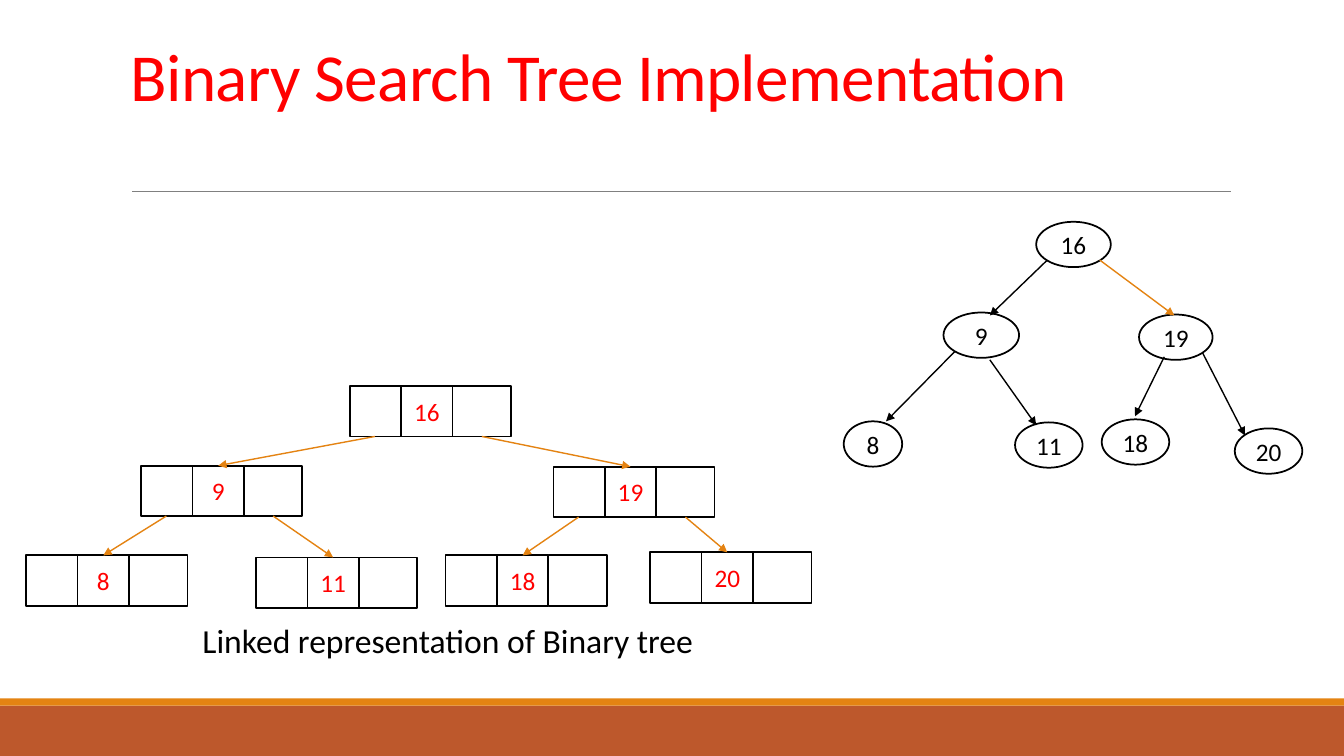
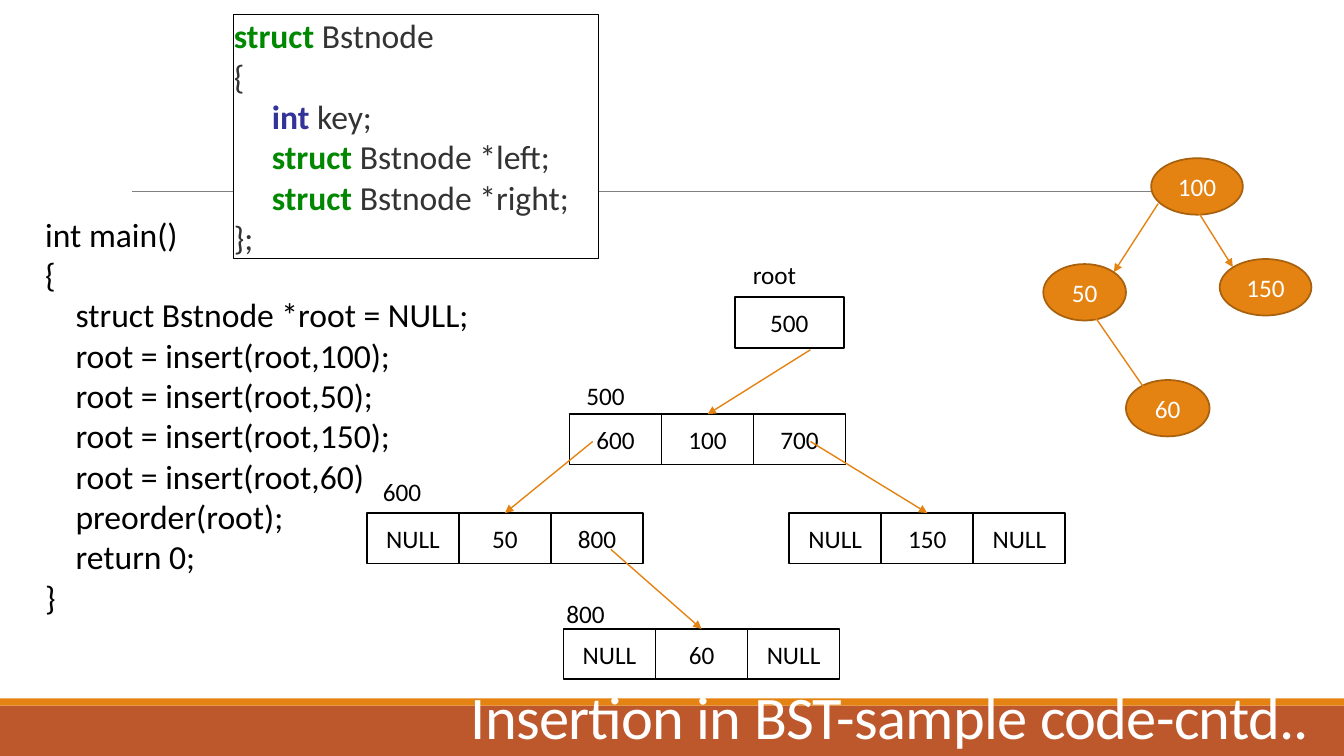
from lxml import etree
from pptx import Presentation
from pptx import util as u
from pptx.dml.color import RGBColor
from pptx.enum import shapes, text
from pptx.oxml import ns

BLACK = RGBColor(0x00, 0x00, 0x00)
WHITE = RGBColor(0xFF, 0xFF, 0xFF)
RED = RGBColor(0xFF, 0x00, 0x00)
RUST = RGBColor(0xBD, 0x58, 0x2C)
ORANGE = RGBColor(0xE4, 0x83, 0x12)
BROWN = RGBColor(0xA9, 0x61, 0x0D)
GREY = RGBColor(0x80, 0x80, 0x80)
CODE_GREY = RGBColor(0x33, 0x33, 0x33)
CODE_GREEN = RGBColor(0x00, 0x88, 0x00)
CODE_BLUE = RGBColor(0x33, 0x33, 0x99)

FONT = "Calibri"
CELL = 0.1  # inches per grid column and per grid row
COLUMNS, ROWS = 133.33, 75
NODE_HEIGHT = 5
SMALL, BODY = 18, 24


def grid(*counts):
    """Turn counts of columns or rows into lengths."""
    return [u.Inches(count * CELL) for count in counts]


class Slides:
    def __init__(self):
        self.deck = Presentation()
        self.deck.slide_width, self.deck.slide_height = grid(COLUMNS, ROWS)
        self.page = None

    def new_page(self):
        """Start a page with the shared bands and rule."""
        self.page = self.deck.slides.add_slide(self.deck.slide_layouts[6])
        self.shape(0, 70, COLUMNS, 5, fill=RUST)
        self.shape(0, 69.3, COLUMNS, 0.7, fill=ORANGE)
        self.line((13.1, 19), (122.1, 19), GREY, 0.5, arrow=False)

    def shape(self, left, top, width, height, kind="RECTANGLE", fill=None,
              outline=None, weight=1.25):
        box = self.page.shapes.add_shape(
            shapes.MSO_SHAPE[kind], *grid(left, top, width, height))
        box.shadow.inherit = False
        if fill is None:
            box.fill.background()
        else:
            box.fill.solid()
            box.fill.fore_color.rgb = fill
        if outline is None:
            box.line.fill.background()
        else:
            box.line.color.rgb = outline
            box.line.width = u.Pt(weight)
        return box

    def line(self, start, end, colour=ORANGE, weight=1, arrow=True):
        connector = self.page.shapes.add_connector(
            shapes.MSO_CONNECTOR.STRAIGHT, *grid(*start, *end))
        connector.line.color.rgb = colour
        connector.line.width = u.Pt(weight)
        properties = connector._element.spPr
        if arrow:
            outline = properties.find(ns.qn("a:ln"))
            etree.SubElement(outline, ns.qn("a:tailEnd"), type="triangle")
        etree.SubElement(properties, ns.qn("a:effectLst"))

    def add_lines(self, box, lines, size, align=text.PP_ALIGN.LEFT,
                  anchor=text.MSO_ANCHOR.TOP):
        """Fill a box with lines, each a list of (words, colour, bold)."""
        frame = box.text_frame
        frame.word_wrap = True
        frame.vertical_anchor = anchor
        for number, spans in enumerate(lines):
            para = frame.add_paragraph() if number else frame.paragraphs[0]
            para.alignment = align
            for words, colour, bold in spans:
                span = para.add_run()
                span.text = words
                span.font.name = FONT
                span.font.size = u.Pt(size)
                span.font.bold = bold
                span.font.color.rgb = colour
        return frame

    def text(self, left, top, width, height, lines, size, **layout):
        box = self.page.shapes.add_textbox(*grid(left, top, width, height))
        return self.add_lines(box, lines, size, **layout)

    def title(self, left, top, width, words, size, colour):
        frame = self.text(left, top, width, 8.8, [[(words, colour, False)]],
                          size, anchor=text.MSO_ANCHOR.BOTTOM)
        para = frame.paragraphs[0]
        para.line_spacing = 0.85
        para.runs[0]._r.get_or_add_rPr().set("spc", "-50")

    def label(self, left, top, words):
        self.text(left, top, 9, 4, [[(words, BLACK, False)]], SMALL)

    def centre(self, box, words, colour):
        self.add_lines(box, [[(words, colour, False)]], SMALL,
                       text.PP_ALIGN.CENTER, text.MSO_ANCHOR.MIDDLE)

    def oval(self, left, top, width, height, words, colour=BLACK, **style):
        box = self.shape(left, top, width, height, "OVAL", **style)
        self.centre(box, words, colour)

    def node(self, left, top, widths, words, colour=BLACK):
        """Draw joined cells and return the top middle of the key cell."""
        edge = left
        for width, word in zip(widths, words):
            box = self.shape(edge, top, width, NODE_HEIGHT, outline=BLACK)
            if word:
                self.centre(box, word, colour)
            edge += width
        return left + widths[0] + widths[1] / 2, top


def implementation(slides):
    slides.new_page()
    slides.title(12, 3.1, 110, "Binary Search Tree Implementation", 48, RED)

    for left, top, width, key in [
            (102.8, 22, 7.4, "16"), (93.6, 31, 7.5, "9"),
            (113, 31.2, 7.3, "19"), (83.7, 41.8, 5.8, "8"),
            (100.7, 41.9, 6.7, "11"), (109.3, 41.6, 6.7, "18"),
            (122.5, 42.5, 6.7, "20")]:
        slides.oval(left, top, width, 4.5, key, outline=BLACK)
    for start, end, colour in [
            ((103.9, 25.8), (98.2, 31.3), BLACK),
            ((109.1, 25.8), (116.5, 31.3), ORANGE),
            ((94.7, 34.9), (87.9, 41.8), BLACK),
            ((98.2, 35.7), (102.8, 42.2), BLACK),
            ((115.5, 35.4), (112.6, 41.3), BLACK),
            ((119.3, 35), (123.5, 43.2), BLACK)]:
        slides.line(start, end, colour)

    slides.text(19.1, 61, 51.5, 5,
                [[("Linked representation of Binary tree", BLACK, False)]],
                BODY)
    places = {"16": (34.7, 38.3), "9": (14, 46.2), "19": (54.9, 46.3),
              "8": (2.6, 55.1), "11": (25.4, 55.3), "18": (44.2, 55.1),
              "20": (64.5, 54.8)}
    tops = {key: slides.node(*place, (5.1, 5.1, 5.8), ("", key, ""), RED)
            for key, place in places.items()}
    children = {"16": ("9", "19"), "9": ("8", "11"), "19": ("18", "20")}
    for parent, pair in children.items():
        left, top = places[parent]
        for offset, child in zip((2.5, 13.1), pair):
            slides.line((left + offset, top + NODE_HEIGHT), tops[child])


def insertion(slides):
    slides.new_page()
    slides.title(45.7, 66.3, 88, "Insertion in BST-sample code-cntd..",
                 43.2, WHITE)

    main_code = [
        "int main()", "{",
        "    struct Bstnode *root = NULL;",
        "    root = insert(root,100);",
        "    root = insert(root,50);",
        "    root = insert(root,150);",
        "    root = insert(root,60)",
        "    preorder(root);",
        "    return 0;", "}"]
    slides.text(3.5, 20.7, 44.6, 41.4,
                [[(code, BLACK, False)] for code in main_code], BODY,
                align=text.PP_ALIGN.JUSTIFY)

    struct = ("struct ", CODE_GREEN, True)
    indent = ("     ", CODE_GREY, False)
    box = slides.shape(23.2, 1.4, 36.2, 24.2, fill=WHITE, outline=BLACK,
                       weight=0.75)
    frame = slides.add_lines(box, [
        [struct, ("Bstnode", CODE_GREY, False)],
        [("{", CODE_GREY, False)],
        [indent, ("int", CODE_BLUE, True), (" key;", CODE_GREY, False)],
        [indent, struct, ("Bstnode *left;", CODE_GREY, False)],
        [indent, struct, ("Bstnode *right;", CODE_GREY, False)],
        [("};", CODE_GREY, False)]], BODY, anchor=text.MSO_ANCHOR.MIDDLE)
    frame.margin_left = frame.margin_right = 0
    frame.margin_top = frame.margin_bottom = 0

    root = slides.shape(72.9, 29.5, 10.8, NODE_HEIGHT, outline=BLACK)
    slides.centre(root, "500", BLACK)
    for left, top, cells, start in [
            (56.5, 41.1, ("600", "100", "700"), (80.4, 34.7)),
            (36.4, 50.9, ("NULL", "50", "800"), (58.8, 43.8)),
            (78.3, 50.9, ("NULL", "150", "NULL"), (80.4, 43.8)),
            (55.9, 62.4, ("NULL", "60", "NULL"), (60.6, 54.5))]:
        slides.line(start, slides.node(left, top, (9.13,) * 3, cells))
    for left, top, words in [(73.7, 25.2, "root"), (57.2, 37.2, "500"),
                             (37, 46.8, "600"), (55.2, 58.9, "800")]:
        slides.label(left, top, words)

    for left, top, width, key in [
            (114.2, 15.7, 9.1, "100"), (103.5, 26.2, 8.2, "50"),
            (121, 25.7, 9.1, "150"), (111.7, 37.7, 8.3, "60")]:
        slides.oval(left, top, width, 5.6, key, WHITE, fill=ORANGE,
                    outline=BROWN)
    for start, end in [((114.9, 20.2), (110.5, 27)),
                       ((118.6, 20.6), (122.3, 26.5)),
                       ((108.6, 31.4), (114.9, 40.5))]:
        slides.line(start, end)


def main():
    slides = Slides()
    implementation(slides)
    insertion(slides)
    slides.deck.save("out.pptx")


if __name__ == "__main__":
    main()
